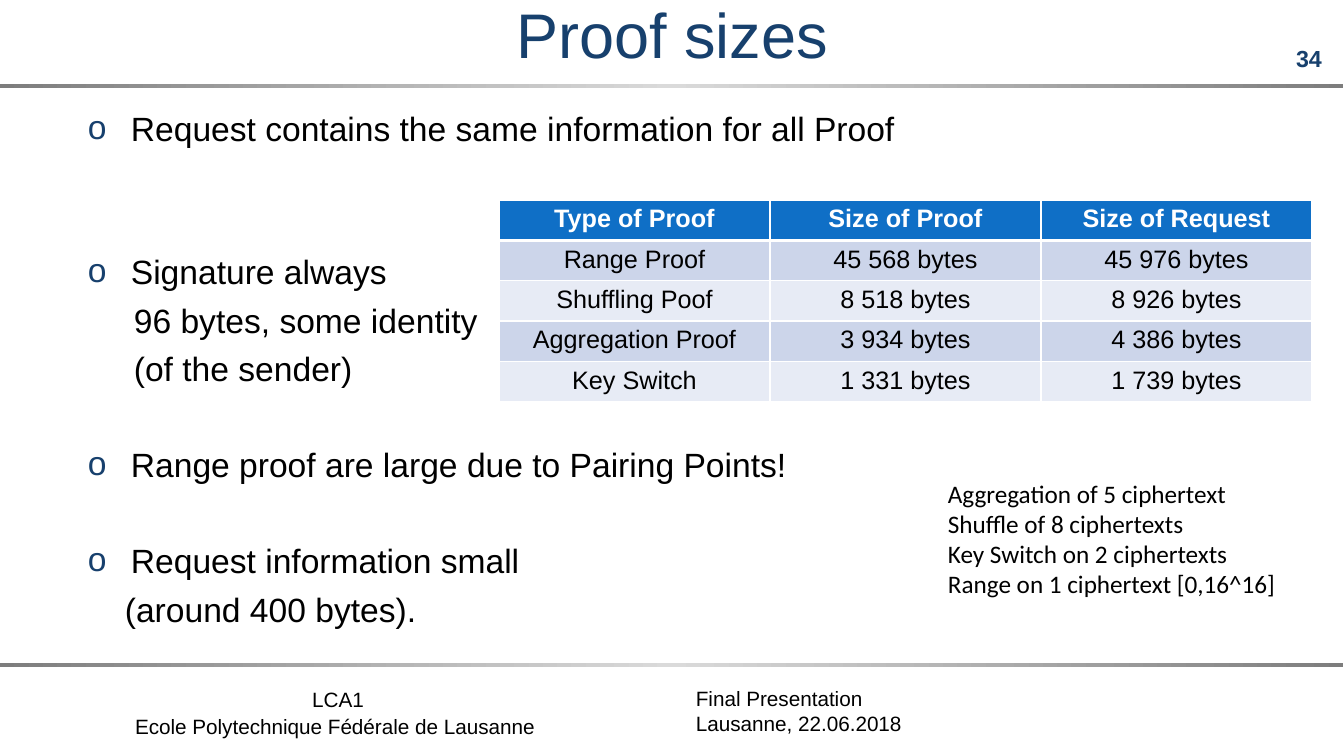
import copy

import pptx
import pptx.dml.color
import pptx.enum.shapes
import pptx.enum.text
import pptx.oxml
import pptx.oxml.ns
import pptx.util
from lxml import etree

RGBColor = pptx.dml.color.RGBColor
Pt = pptx.util.Pt
ALIGN = pptx.enum.text.PP_ALIGN
ANCHOR = pptx.enum.text.MSO_ANCHOR
qn = pptx.oxml.ns.qn

EMU_PER_PX = 914400 / 100.8

NAVY = RGBColor(0x17, 0x40, 0x6D)
BLUE = RGBColor(0x0F, 0x6F, 0xC6)
BAND_DARK = RGBColor(0xCC, 0xD5, 0xEA)
BAND_LIGHT = RGBColor(0xE7, 0xEB, 0xF5)
RULE_EDGE = RGBColor(0x7D, 0x7D, 0x7D)
RULE_MIDDLE = RGBColor(0xDA, 0xDA, 0xDA)
BLACK = RGBColor(0, 0, 0)
WHITE = RGBColor(0xFF, 0xFF, 0xFF)

BODY_SIZE = 24
LINE_GAP = 6
BLANK_LINE = 33.6  # height of one body line with its gap, in points

# text, left indent in px, bulleted, blank lines above
BODY = [
    ("Request contains the same information for all Proof", 50, True, 0),
    ("Signature always", 50, True, 2),
    ("96 bytes, some identity", 53, False, 0),
    ("(of the sender)", 53, False, 0),
    ("Range proof are large due to Pairing Points!", 50, True, 1),
    ("Request information small", 50, True, 1),
    ("(around 400 bytes).", 44, False, 0),
]
PROOF_SIZES = [
    ("Type of Proof", "Size of Proof", "Size of Request"),
    ("Range Proof", "45 568 bytes", "45 976 bytes"),
    ("Shuffling Poof", "8 518 bytes", "8 926 bytes"),
    ("Aggregation Proof", "3 934 bytes", "4 386 bytes"),
    ("Key Switch", "1 331 bytes", "1 739 bytes"),
]
NOTES = [
    "Aggregation of 5 ciphertext",
    "Shuffle of 8 ciphertexts",
    "Key Switch on 2 ciphertexts",
    "Range on 1 ciphertext [0,16^16]",
]


def px(n):
    return pptx.util.Emu(round(n * EMU_PER_PX))


def box(left, top, width, height):
    return px(left), px(top), px(width), px(height)


def write(tf, lines, size, color=BLACK, font="Arial", bold=False, align=ALIGN.LEFT):
    tf.text = "\n".join(lines)
    tf.word_wrap = True
    for p in tf.paragraphs:
        p.alignment = align
        for r in p.runs:
            r.font.size = Pt(size)
            r.font.name = font
            r.font.bold = bold
            r.font.color.rgb = color


def add_text(slide, area, lines, size, **style):
    tf = slide.shapes.add_textbox(*box(*area)).text_frame
    write(tf, lines, size, **style)
    return tf


def add_title(slide, text):
    title = slide.shapes.title
    title.left, title.top, title.width, title.height = box(71, 22, 1202, 54)
    tf = title.text_frame
    write(tf, [text], 45, color=NAVY, align=ALIGN.CENTER)
    tf.auto_size = pptx.enum.text.MSO_AUTO_SIZE.NONE
    tf.vertical_anchor = ANCHOR.BOTTOM


def add_rule(slide, top):
    """Thin horizontal bar that is lighter in the middle."""
    sp = slide.shapes.add_shape(
        pptx.enum.shapes.MSO_SHAPE.RECTANGLE, *box(0, top, 1343, 4))
    sp.shadow.inherit = False
    sp.line.fill.background()
    sp.fill.gradient()
    sp.fill.gradient_angle = 0
    first, last = sp.fill.gradient_stops
    first.color.rgb = RULE_MIDDLE
    stops = sp.element.spPr.find(qn("a:gradFill")).find(qn("a:gsLst"))
    middle = copy.deepcopy(stops[0])
    middle.set("pos", "50000")
    stops.insert(1, middle)
    first.color.rgb = last.color.rgb = RULE_EDGE


def add_bullet(pPr):
    color = etree.SubElement(pPr, qn("a:buClr"))
    etree.SubElement(color, qn("a:srgbClr")).set("val", str(NAVY))
    etree.SubElement(pPr, qn("a:buFont")).set("typeface", "Arial")
    etree.SubElement(pPr, qn("a:buChar")).set("char", "o")


def add_body(slide):
    tf = add_text(slide, (71, 103, 1202, 546), [line[0] for line in BODY], BODY_SIZE)
    for p, (_, indent, bulleted, blanks) in zip(tf.paragraphs, BODY):
        p.space_before = Pt(LINE_GAP + blanks * BLANK_LINE)
        pPr = p._p.get_or_add_pPr()
        pPr.set("marL", str(px(indent)))
        if bulleted:
            pPr.set("indent", str(px(-43)))
            add_bullet(pPr)


def set_borders(cell, widths):
    tcPr = cell._tc.get_or_add_tcPr()
    for side, width in widths.items():
        ln = etree.SubElement(tcPr, qn("a:ln" + side), w=str(Pt(width)))
        fill = etree.SubElement(ln, qn("a:solidFill"))
        etree.SubElement(fill, qn("a:srgbClr")).set("val", str(WHITE))


def add_proof_table(slide):
    rows, cols = len(PROOF_SIZES), len(PROOF_SIZES[0])
    table = slide.shapes.add_table(rows, cols, *box(499, 200, 813, 35 * rows)).table
    for i, values in enumerate(PROOF_SIZES):
        header = i == 0
        band = BAND_DARK if i % 2 else BAND_LIGHT
        for j, value in enumerate(values):
            cell = table.cell(i, j)
            write(cell.text_frame, [value], 18, color=WHITE if header else BLACK,
                  bold=header, align=ALIGN.CENTER)
            set_borders(cell, {"L": 1, "R": 1, "T": 3 if i == 1 else 1,
                               "B": 3 if header else 1})
            cell.fill.solid()
            cell.fill.fore_color.rgb = BLUE if header else band


def add_footer(slide):
    tf = add_text(slide, (129, 681, 418, 60),
                  ["LCA1", "Ecole Polytechnique Fédérale de Lausanne"], 14.8)
    tf.margin_left = tf.margin_right = px(6)
    tf.margin_top = tf.margin_bottom = px(3)
    tf.paragraphs[0].alignment = ALIGN.CENTER
    for p in tf.paragraphs:
        p.line_spacing = 1.1
    add_text(slide, (686, 681, 429, 60),
             ["Final Presentation", "Lausanne, 22.06.2018"], 14.8)


def main():
    prs = pptx.Presentation()
    prs.slide_width, prs.slide_height = px(1344), px(756)
    slide = prs.slides.add_slide(prs.slide_layouts.get_by_name("Title Only"))
    add_footer(slide)
    add_text(slide, (1274, 39, 70, 37), ["34"], 16.6,
             color=NAVY, bold=True, align=ALIGN.CENTER)
    for top in (84, 663):
        add_rule(slide, top)
    add_title(slide, "Proof sizes")
    add_body(slide)
    add_proof_table(slide)
    add_text(slide, (938, 473, 406, 132), NOTES, 18, font="Calibri")
    prs.save("out.pptx")


if __name__ == "__main__":
    main()
